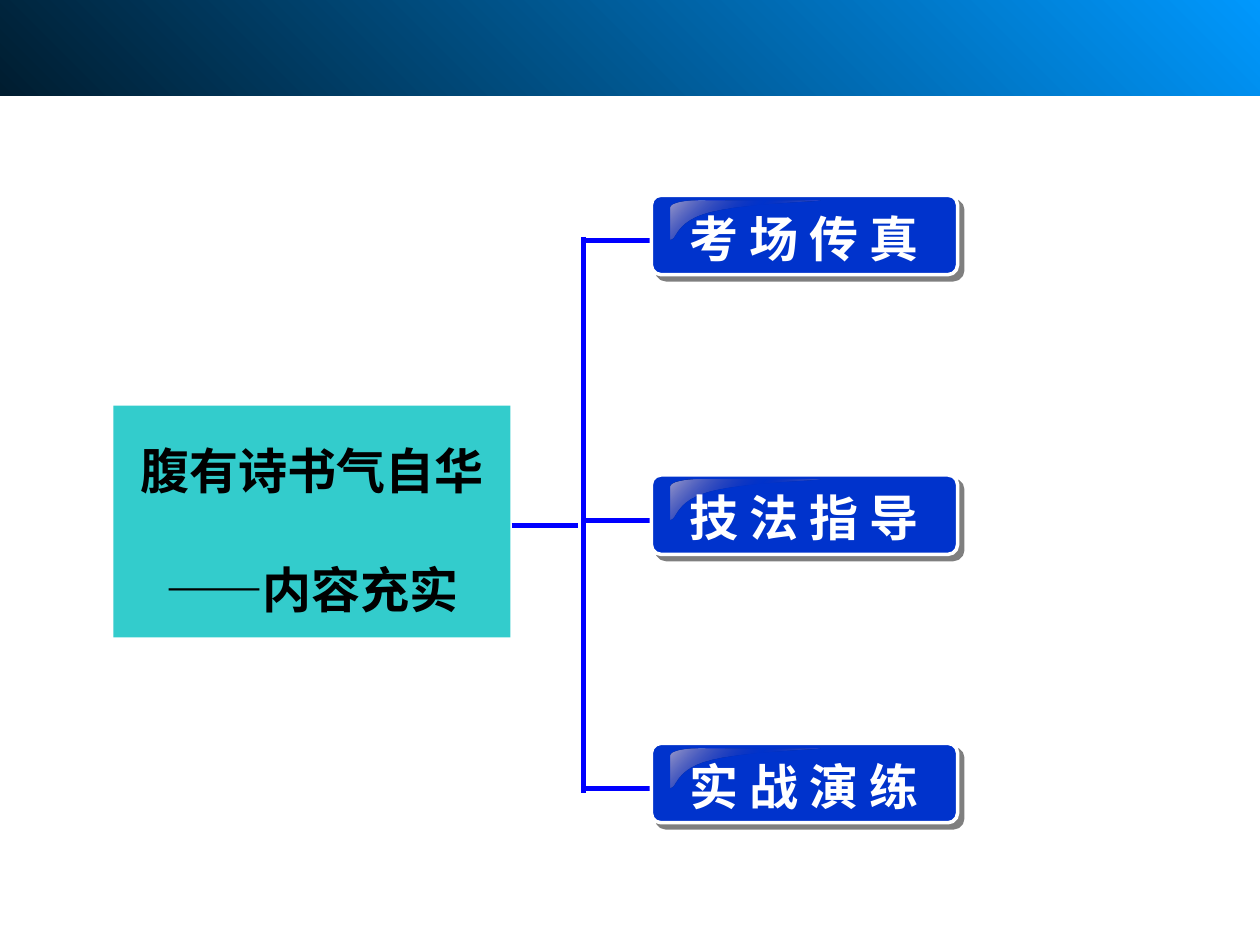
from lxml import etree
from pptx import Presentation
from pptx.dml.color import RGBColor
from pptx.enum.shapes import MSO_CONNECTOR, MSO_SHAPE
from pptx.enum.text import MSO_ANCHOR, MSO_AUTO_SIZE, PP_ALIGN
from pptx.oxml.ns import qn
from pptx.util import Inches, Pt

FONT = "Times New Roman"
LINE_BLUE = "0000FF"
TOPICS = [("考 场 传 真", 1.55), ("技 法 指 导", 3.77), ("实 战 演 练", 5.9)]
TRUNK_X = 4.63
BUTTON_X = 5.17
BRANCH_DROP = 0.36


def rgb(color):
    return RGBColor.from_string(color)


def add_color(parent, color, opacity=100):
    node = etree.SubElement(parent, qn("a:srgbClr"), val=color)
    if opacity < 100:
        etree.SubElement(node, qn("a:alpha"), val=str(opacity * 1000))


def fill_gradient(shape, stops, angle):
    """Fill with (position, colour, opacity) stops; the angle runs clockwise."""
    shape.fill.gradient()
    gradient = shape._element.spPr.find(qn("a:gradFill"))
    for child in list(gradient):
        gradient.remove(child)
    stop_list = etree.SubElement(gradient, qn("a:gsLst"))
    for position, color, opacity in stops:
        stop = etree.SubElement(stop_list, qn("a:gs"), pos=str(position * 1000))
        add_color(stop, color, opacity)
    etree.SubElement(gradient, qn("a:lin"), ang=str(angle * 60000), scaled="0")


def add_block(slide, kind, x, y, width, height, fill=None):
    block = slide.shapes.add_shape(
        kind, Inches(x), Inches(y), Inches(width), Inches(height))
    block.shadow.inherit = False
    block.line.fill.background()
    if fill:
        block.fill.solid()
        block.fill.fore_color.rgb = rgb(fill)
    return block


def write_text(shape, *lines, color="000000", size=28, align=PP_ALIGN.LEFT,
               anchor=MSO_ANCHOR.TOP, margins=(0.1, 0.05, 0.1, 0.05),
               spacing=None, gap=0):
    frame = shape.text_frame
    frame.word_wrap = True
    frame.auto_size = MSO_AUTO_SIZE.SHAPE_TO_FIT_TEXT
    frame.vertical_anchor = anchor
    (frame.margin_left, frame.margin_top,
     frame.margin_right, frame.margin_bottom) = map(Inches, margins)
    for index, line in enumerate(lines):
        paragraph = frame.add_paragraph() if index else frame.paragraphs[0]
        paragraph.alignment = align
        paragraph.line_spacing = spacing
        if index and gap:
            paragraph.space_before = Pt(gap)
        run = paragraph.add_run()
        run.text = line
        run.font.name = FONT
        run.font.size = Pt(size)
        run.font.bold = True
        run.font.color.rgb = rgb(color)


def add_line(slide, x1, y1, x2, y2):
    line = slide.shapes.add_connector(
        MSO_CONNECTOR.STRAIGHT, Inches(x1), Inches(y1), Inches(x2), Inches(y2))
    line.line.color.rgb = rgb(LINE_BLUE)
    line.line.width = Pt(3)
    etree.SubElement(line._element.spPr, qn("a:effectLst"))


def curve_points(start, control1, control2, end, steps=12):
    for step in range(1, steps + 1):
        t = step / steps
        weights = ((1 - t) ** 3, 3 * t * (1 - t) ** 2, 3 * t * t * (1 - t), t ** 3)
        yield tuple(
            sum(w * p[axis] for w, p in zip(weights, (start, control1, control2, end)))
            for axis in (0, 1))


def add_gloss(slide, x, y):
    """Curved highlight in the upper left corner of a button."""
    start, side, foot = (0.24, 0), (0, 0.06), (0, 0.31)
    middle, tip = (0.33, 0.09), (1.19, 0)
    outline = [
        *curve_points(start, (0.11, 0), (0, 0.02), side),
        foot,
        *curve_points(foot, (0.06, 0.31), (0.03, 0.16), middle),
        *curve_points(middle, (0.63, 0.02), (1.21, 0.01), tip),
    ]

    def place(point):
        return Inches(x + point[0]), Inches(y + point[1])

    builder = slide.shapes.build_freeform(*place(start))
    builder.add_line_segments([place(point) for point in outline], close=True)
    gloss = builder.convert_to_shape()
    gloss.shadow.inherit = False
    gloss.line.fill.background()
    fill_gradient(gloss, [(0, "9B9BCC", 100), (50, "333399", 0),
                          (100, "9B9BCC", 100)], 225)


def add_button(slide, label, x, y):
    button = add_block(slide, MSO_SHAPE.ROUNDED_RECTANGLE, x, y, 2.43, 0.63, "0033CC")
    button.adjustments[0] = 0.12
    button.line.color.rgb = rgb("FFFFFF")
    button.line.width = Pt(2)
    effects = button._element.spPr.find(qn("a:effectLst"))
    shadow = etree.SubElement(
        effects, qn("a:outerShdw"), dist=str(Pt(4.2)), dir=str(45 * 60000),
        algn="ctr", rotWithShape="0")
    add_color(shadow, "000000", 50)
    add_gloss(slide, x + 0.15, y + 0.04)
    caption = slide.shapes.add_textbox(
        Inches(x + 0.2), Inches(y + 0.05), Inches(4.11), Inches(0.57))
    write_text(caption, label, color="FFFFFF", anchor=MSO_ANCHOR.MIDDLE)


def add_banner(slide, x, y, width, height):
    banner = add_block(slide, MSO_SHAPE.RECTANGLE, x, y, width, height)
    fill_gradient(banner, [(0, "0099FF", 100), (100, "001D30", 100)], 135)


def add_theme(slide, x, y, width, height):
    theme = add_block(slide, MSO_SHAPE.RECTANGLE, x, y, width, height, "33CCCC")
    write_text(theme, "腹有诗书气自华", "——内容充实", align=PP_ALIGN.CENTER,
               margins=(0.1, 0.04, 0.1, 0.16), spacing=1.5, gap=17.5)


def add_branches(slide):
    joints = [y + BRANCH_DROP for _, y in TOPICS]
    add_line(slide, 4.06, 4.17, 4.59, 4.17)
    add_line(slide, TRUNK_X, joints[0] - 0.03, TRUNK_X, joints[-1] + 0.03)
    for (label, y), joint in zip(TOPICS, joints):
        add_line(slide, TRUNK_X, joint, BUTTON_X - 0.01, joint)
        add_button(slide, label, BUTTON_X, y)


def main():
    deck = Presentation()
    deck.slide_width, deck.slide_height = Inches(10), Inches(7.5)
    slide = deck.slides.add_slide(deck.slide_layouts[6])
    add_banner(slide, 0, -0.11, 10, 0.87)
    add_theme(slide, 0.9, 3.22, 3.15, 1.84)
    add_branches(slide)
    deck.save("out.pptx")


if __name__ == "__main__":
    main()
